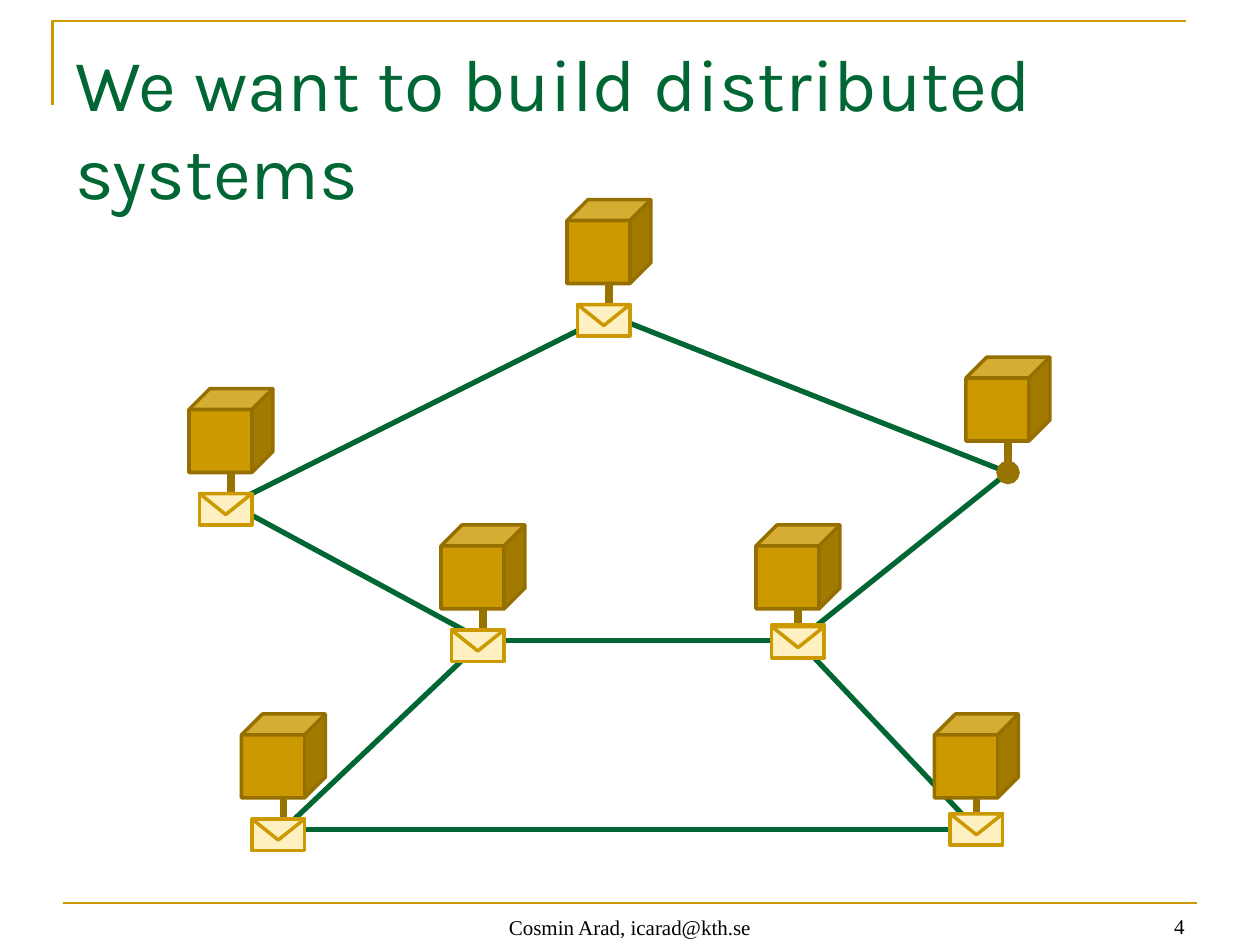
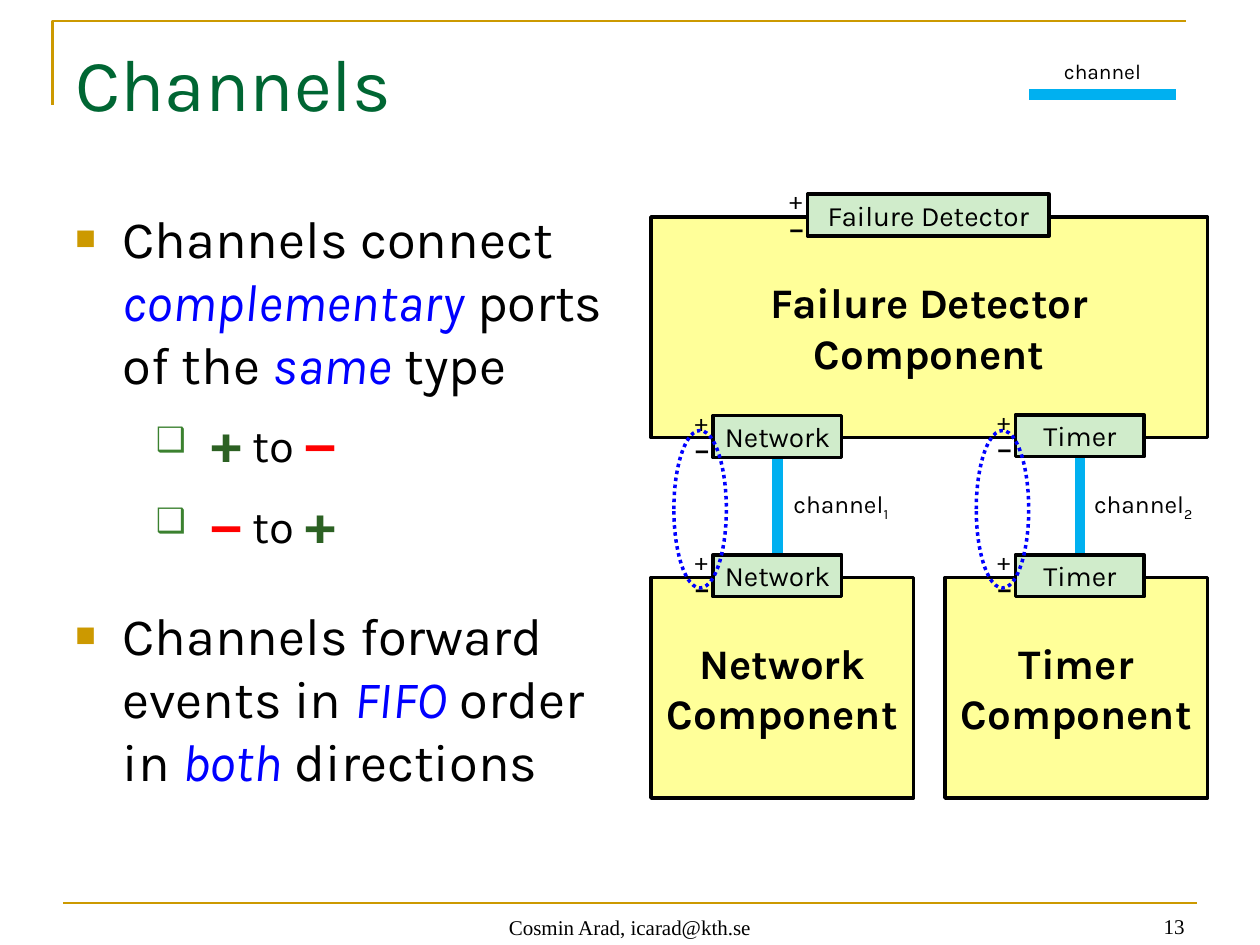
from dataclasses import dataclass

from lxml import etree
from pptx import Presentation
from pptx.dml.color import RGBColor
from pptx.enum.dml import MSO_LINE
from pptx.enum.shapes import MSO_CONNECTOR, MSO_SHAPE
from pptx.enum.text import MSO_ANCHOR, MSO_AUTO_SIZE, PP_ALIGN
from pptx.oxml.ns import qn
from pptx.util import Pt

STRAIGHT = MSO_CONNECTOR.STRAIGHT
CUBE, RECT = MSO_SHAPE.CUBE, MSO_SHAPE.RECTANGLE
TRIANGLE, OVAL = MSO_SHAPE.ISOSCELES_TRIANGLE, MSO_SHAPE.OVAL
LEFT, CENTER, RIGHT = PP_ALIGN.LEFT, PP_ALIGN.CENTER, PP_ALIGN.RIGHT
TOP, MIDDLE, BOTTOM = MSO_ANCHOR.TOP, MSO_ANCHOR.MIDDLE, MSO_ANCHOR.BOTTOM
NO_FIT, DOTTED = MSO_AUTO_SIZE.NONE, MSO_LINE.ROUND_DOT
SITE_TOP, SITE_BOTTOM = 0, 2

SLIDE_W, SLIDE_H = 720, 540
GOLD, GREEN, BLACK = "CC9900", "006633", "000000"
CUBE_EDGE, STEM = "956F00", "997300"
PAPER, YELLOW, PORT_GREEN = "FFF0C2", "FFFF99", "D0ECCB"
SKY, BLUE, RED, PLUS_GREEN, BULLET_GREEN = "00B0F0", "0000FF", "FF0000", "2C6123", "3B812F"
BODY_FONT, FOOTER_FONT = "Karla", "Times New Roman"
AUTHOR = "Cosmin Arad, icarad@kth.se"


@dataclass(frozen=True)
class Box:
    left: float
    top: float
    width: float
    height: float


@dataclass(frozen=True)
class Run:
    text: str
    size: float
    color: str = BLACK
    bold: bool = False
    italic: bool = False
    font: str = BODY_FONT
    subscript: bool = False


@dataclass(frozen=True)
class Bullet:
    char: str
    color: str
    percent: int
    margin: float
    hang: float


@dataclass(frozen=True)
class Point:
    runs: list[Run]
    bullet: Bullet
    before: float = 0


@dataclass(frozen=True)
class Port:
    name: str
    left: float
    top: float
    width: float = 73.5


SQUARE = Bullet("■", GOLD, 65, 27, 27)
CHECKBOX = Bullet("❑", BULLET_GREEN, 60, 78, 32)

# Where each node's stem meets the network
JUNCTIONS = {
    "top": (348, 180), "bottom left": (162, 474), "bottom right": (558, 474),
    "inner right": (456, 366), "inner left": (276, 366),
    "left": (132, 288), "right": (576, 270),
}
LINKS = [
    ("bottom left", "inner left"), ("inner right", "bottom right"),
    ("inner left", "inner right"), ("inner right", "right"), ("top", "right"),
    ("left", "top"), ("inner left", "left"), ("bottom left", "bottom right"),
]
# Node and the offset of the message from its junction
MESSAGES = [
    ("left", -18, -6), ("top", -18, -6), ("bottom right", -15, -9),
    ("inner right", -15, -9), ("inner right", -15, -8),
    ("inner left", -18, -6), ("bottom left", -18, -6),
]

COMPONENTS = {
    "Failure Detector": Box(372, 124, 318, 126),
    "Timer": Box(540, 330, 150, 126),
    "Network": Box(372, 330, 150, 126),
}
DETECTOR_PORT = Port("Failure Detector", 461.5, 111, 138)
# Required port above, provided port below, one pair for each channel
PORT_PAIRS = [
    (Port("Network", 407.5, 237.5), Port("Network", 407.5, 317)),
    (Port("Timer", 580.3, 237), Port("Timer", 580.3, 317)),
]


def body(text: str) -> Run:
    return Run(text, 30)


def stress(text: str) -> Run:
    return Run(text, 30, BLUE, italic=True)


TO = Run(" to ", 26)
PLUS = Run("+", 32, PLUS_GREEN, bold=True)
MINUS = Run("−", 32, RED, bold=True)
POINTS = [
    Point([body("Channels connect "), stress("complementary"), body(" ports of the "),
           stress("same"), body(" type")], SQUARE),
    Point([PLUS, TO, MINUS], CHECKBOX, 6.5),
    Point([MINUS, TO, PLUS], CHECKBOX, 8),
    Point([body("Channels forward events in "), stress("FIFO"), body(" order in "),
           stress("both"), body(" directions")], SQUARE, 28),
]


def rgb(color: str) -> RGBColor:
    return RGBColor.from_string(color)


def pts(box: Box) -> tuple[Pt, ...]:
    return Pt(box.left), Pt(box.top), Pt(box.width), Pt(box.height)


def add_runs(paragraph, runs: list[Run]) -> None:
    for item in runs:
        run = paragraph.add_run()
        run.text = item.text
        font = run.font
        font.name, font.size = item.font, Pt(item.size)
        font.bold, font.italic = item.bold, item.italic
        font.color.rgb = rgb(item.color)
        if item.subscript:
            run._r.get_or_add_rPr().set("baseline", "-25000")


def write(shape, lines: list[list[Run]], align=LEFT, anchor=TOP, inset=(7.2, 3.6)) -> None:
    """Fill a shape with one paragraph per line."""
    frame = shape.text_frame
    frame.word_wrap, frame.auto_size = True, NO_FIT
    frame.vertical_anchor = anchor
    frame.margin_left = frame.margin_right = Pt(inset[0])
    frame.margin_top = frame.margin_bottom = Pt(inset[1])
    for index, runs in enumerate(lines):
        paragraph = frame.add_paragraph() if index else frame.paragraphs[0]
        paragraph.alignment = align
        add_runs(paragraph, runs)


def add_text(slide, box: Box, lines: list[list[Run]], align=LEFT, anchor=TOP):
    label = slide.shapes.add_textbox(*pts(box))
    write(label, lines, align, anchor)
    return label


def style_outline(shape, color: str, width: float) -> None:
    shape.line.color.rgb = rgb(color)
    shape.line.width = Pt(width)


def add_shape(slide, kind, box: Box, fill: str | None, edge: str):
    shape = slide.shapes.add_shape(kind, *pts(box))
    shape.shadow.inherit = False
    if fill:
        shape.fill.solid()
        shape.fill.fore_color.rgb = rgb(fill)
    else:
        shape.fill.background()
    style_outline(shape, edge, 2)
    return shape


def add_line(slide, start, end, color: str, width: float, oval_end: bool = False):
    line = slide.shapes.add_connector(STRAIGHT, *map(Pt, (*start, *end)))
    style_outline(line, color, width)
    if oval_end:
        etree.SubElement(line.line._get_or_add_ln(), qn("a:tailEnd"), type="oval")
    etree.SubElement(line._element.spPr, qn("a:effectLst"))
    return line


def set_bullet(paragraph, bullet: Bullet) -> None:
    props = paragraph._p.get_or_add_pPr()
    props.set("marL", str(Pt(bullet.margin)))
    props.set("indent", str(-Pt(bullet.hang)))
    color = etree.SubElement(props, qn("a:buClr"))
    etree.SubElement(color, qn("a:srgbClr"), val=bullet.color)
    etree.SubElement(props, qn("a:buSzPct"), val=str(bullet.percent * 1000))
    etree.SubElement(props, qn("a:buFont"), typeface="Arial")
    etree.SubElement(props, qn("a:buChar"), char=bullet.char)


def new_slide(deck, heading: str, number: int):
    """Add a slide with the shared frame, title and footer."""
    slide = deck.slides.add_slide(deck.slide_layouts[5])
    builder = slide.shapes.build_freeform(Pt(30), Pt(60))
    builder.add_line_segments([(Pt(30), Pt(12)), (Pt(678), Pt(12))], close=False)
    corner = builder.convert_to_shape()
    corner.shadow.inherit = False
    corner.fill.background()
    style_outline(corner, GOLD, 1.5)
    add_line(slide, (36, 516), (684, 516), GOLD, 1.5)

    title = slide.shapes.title
    title.left, title.top, title.width, title.height = pts(Box(36, 18, 648, 84))
    write(title, [[Run(heading, 42, GREEN)]])

    for box, text, align in ((Box(246, 504.5, 228, 36), AUTHOR, CENTER),
                             (Box(516, 504, 168, 36), str(number), RIGHT)):
        add_text(slide, box, [[Run(text, 12, font=FOOTER_FONT)]], align, BOTTOM)
    return slide


def add_node(slide, x: float, y: float) -> None:
    add_shape(slide, CUBE, Box(x - 24, y - 66, 48, 48), GOLD, CUBE_EDGE)
    add_line(slide, (x, y - 18), (x, y), STEM, 4.5, oval_end=True)


def add_envelope(slide, left: float, top: float) -> None:
    add_shape(slide, RECT, Box(left, top, 30, 18), PAPER, GOLD)
    flap = add_shape(slide, TRIANGLE, Box(left, top, 30, 12), PAPER, GOLD)
    flap.rotation = 180


def add_port(slide, port: Port):
    """Draw a port with its plus and minus signs on the left."""
    shape = add_shape(slide, RECT, Box(port.left, port.top, port.width, 24), PORT_GREEN, BLACK)
    write(shape, [[Run(port.name, 16)]], CENTER, MIDDLE, (0, 0))
    add_text(slide, Box(port.left - 17.5, port.top - 8.6, 34.5, 41),
             [[Run("+", 14)], [Run("−", 14, bold=True, font="Arial")]])
    return shape


def build_network_slide(deck) -> None:
    slide = new_slide(deck, "We want to build distributed systems", 4)
    for start, end in LINKS:
        add_line(slide, JUNCTIONS[start], JUNCTIONS[end], GREEN, 3)
    for x, y in JUNCTIONS.values():
        add_node(slide, x, y)
    for node, dx, dy in MESSAGES:
        x, y = JUNCTIONS[node]
        add_envelope(slide, x + dx, y + dy)


def build_channels_slide(deck) -> None:
    slide = new_slide(deck, "Channels", 13)
    points = add_text(slide, Box(36, 114, 330, 390), [point.runs for point in POINTS])
    for paragraph, point in zip(points.text_frame.paragraphs, POINTS):
        if point.before:
            paragraph.space_before = Pt(point.before)
        set_bullet(paragraph, point.bullet)

    add_line(slide, (672, 54), (588, 54), SKY, 6)
    add_text(slide, Box(588, 30, 84, 22), [[Run("channel", 12)]], CENTER)

    channels = [add_line(slide, (upper.left, upper.top), (lower.left, lower.top), SKY, 6)
                for upper, lower in PORT_PAIRS]
    for name, box in COMPONENTS.items():
        component = add_shape(slide, RECT, box, YELLOW, BLACK)
        write(component, [[Run(line, 24, bold=True)] for line in (name, "Component")],
              CENTER, MIDDLE, (0, 0))

    add_port(slide, DETECTOR_PORT)
    for index, (channel, (upper, lower)) in enumerate(zip(channels, PORT_PAIRS), 1):
        channel.begin_connect(add_port(slide, lower), SITE_TOP)
        channel.end_connect(add_port(slide, upper), SITE_BOTTOM)
        add_text(slide, Box(upper.left + 37, 276, 72, 26.6),
                 [[Run("channel", 14), Run(str(index), 14, subscript=True)]], CENTER)
        ring = add_shape(slide, OVAL, Box(upper.left - 22.4, 246, 30, 90), None, BLUE)
        ring.line.dash_style = DOTTED


def main() -> None:
    deck = Presentation()
    deck.slide_width, deck.slide_height = Pt(SLIDE_W), Pt(SLIDE_H)
    build_network_slide(deck)
    build_channels_slide(deck)
    deck.save("out.pptx")


if __name__ == "__main__":
    main()
